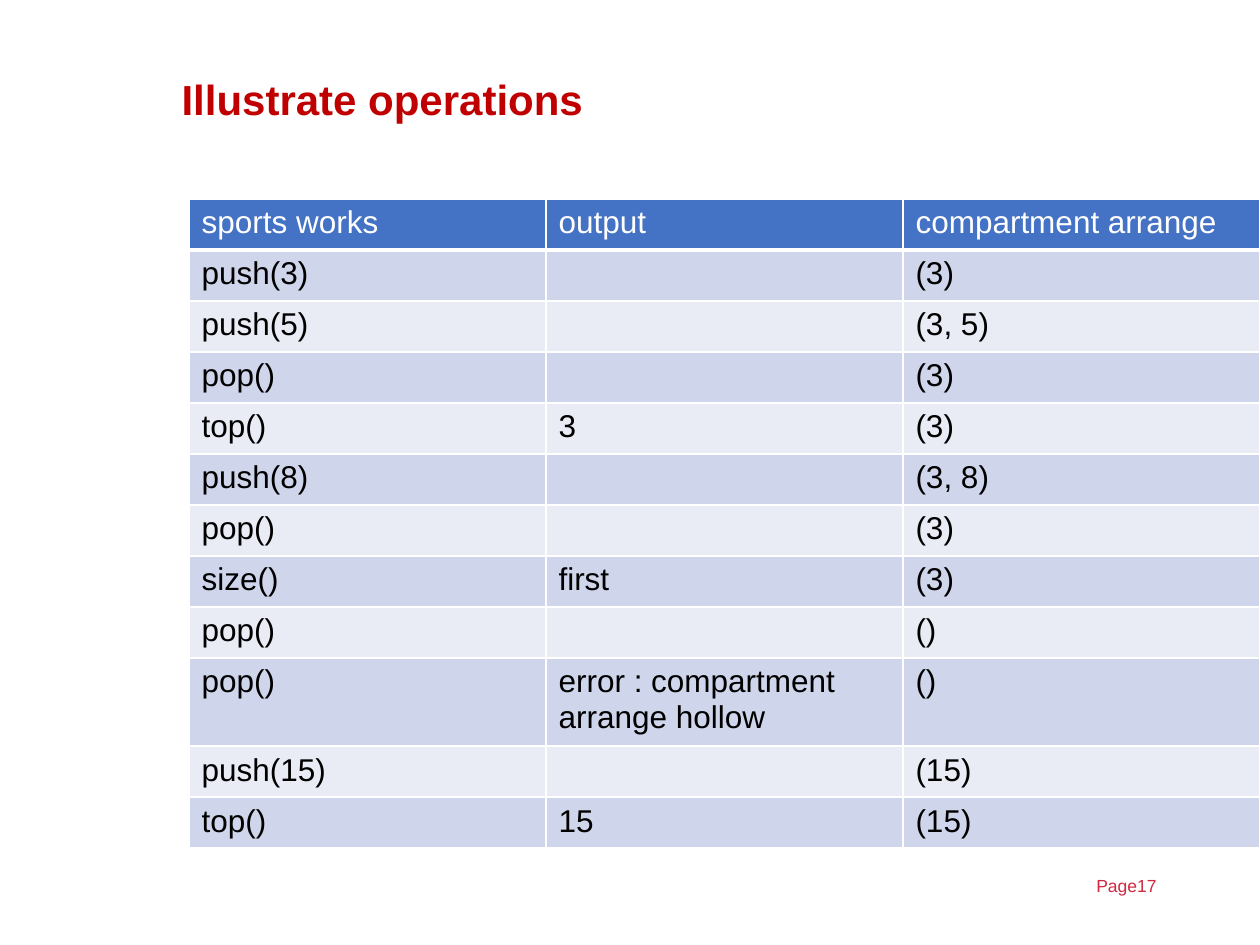
from lxml import etree
from pptx import Presentation, util as u
from pptx.dml.color import RGBColor
from pptx.enum import text
from pptx.oxml import ns

PX = u.Inches(1) // 126
COLORS = {
    "title": "C00000",
    "page": "CF2941",
    "header": "4472C4",
    "odd": "CFD5EA",
    "even": "E9EBF5",
    "white": "FFFFFF",
    "black": "000000",
}
OPERATIONS = [
    ("sports works", "output", "compartment arrange"),
    ("push(3)", "", "(3)"),
    ("push(5)", "", "(3, 5)"),
    ("pop()", "", "(3)"),
    ("top()", "3", "(3)"),
    ("push(8)", "", "(3, 8)"),
    ("pop()", "", "(3)"),
    ("size()", "first", "(3)"),
    ("pop()", "", "()"),
    ("pop()", "error : compartment arrange hollow", "()"),
    ("push(15)", "", "(15)"),
    ("top()", "15", "(15)"),
]
COLUMN_WIDTH, ROW_HEIGHT, TALL_ROW_HEIGHT = 357, 51, 83


def style(paragraph, size, color, bold=False):
    font = paragraph.font
    font.name, font.size, font.bold = "Arial", u.Pt(size), bold
    font.color.rgb = RGBColor.from_string(COLORS[color])


def add_border(cell, side, points):
    line = etree.SubElement(cell._tc.get_or_add_tcPr(), ns.qn(f"a:ln{side}"), w=str(u.Pt(points)))
    fill = etree.SubElement(line, ns.qn("a:solidFill"))
    etree.SubElement(fill, ns.qn("a:srgbClr"), val=COLORS["white"])


prs = Presentation()
prs.slide_width, prs.slide_height = 1260 * PX, 945 * PX
slide = prs.slides.add_slide(prs.slide_layouts[5])

title = slide.shapes.title
title.left, title.top, title.width, title.height = (n * PX for n in (169, 50, 1005, 103))
title.text_frame.text = "Illustrate operations"
title.text_frame.vertical_anchor = text.MSO_ANCHOR.MIDDLE
heading = title.text_frame.paragraphs[0]
heading.alignment = text.PP_ALIGN.LEFT
heading.line_spacing = 0.9
style(heading, 24, "title", bold=True)

page = slide.shapes.add_textbox(1084 * PX, 869 * PX, 151 * PX, 35 * PX).text_frame
page.word_wrap = True
page.text = "Page17"
style(page.paragraphs[0], 10, "page")

operations = slide.shapes.add_table(
    len(OPERATIONS), 3, 189 * PX, 199 * PX, 3 * COLUMN_WIDTH * PX, len(OPERATIONS) * ROW_HEIGHT * PX
).table
for column in operations.columns:
    column.width = COLUMN_WIDTH * PX

for r, entries in enumerate(OPERATIONS):
    operations.rows[r].height = (TALL_ROW_HEIGHT if "error" in entries[1] else ROW_HEIGHT) * PX
    band = "header" if r == 0 else "odd" if r % 2 else "even"
    for c, entry in enumerate(entries):
        cell = operations.cell(r, c)
        for side in "LRTB":
            add_border(cell, side, 3 if r == 0 and side == "B" else 1)
        cell.fill.solid()
        cell.fill.fore_color.rgb = RGBColor.from_string(COLORS[band])
        cell.text = entry
        style(cell.text_frame.paragraphs[0], 18, "black" if r else "white")

prs.save("out.pptx")
